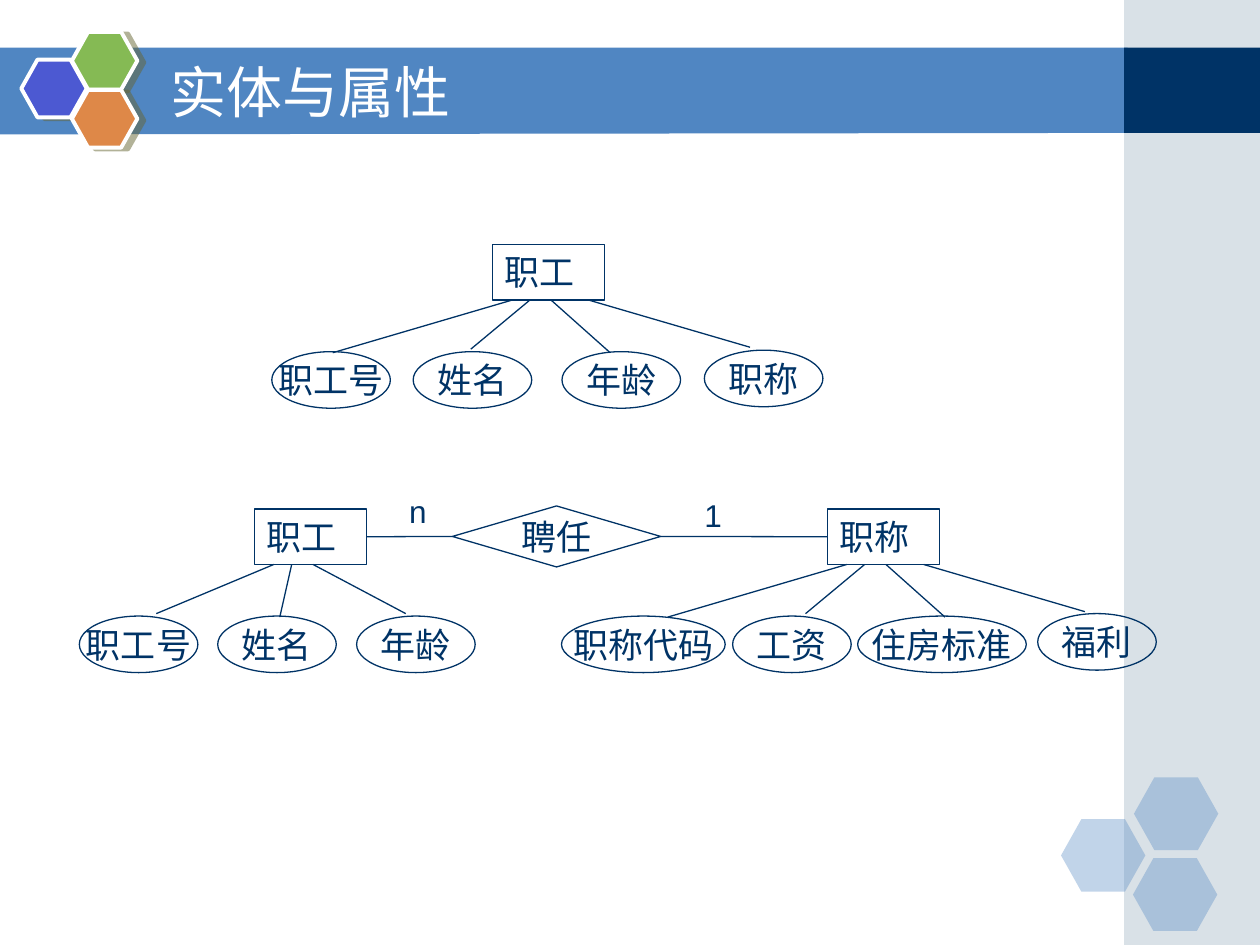
import pptx
import pptx.dml.color
import pptx.enum.shapes
import pptx.enum.text
import pptx.oxml
import pptx.oxml.ns
import pptx.util
from lxml import etree

Cm, Pt = pptx.util.Cm, pptx.util.Pt
SHAPE = pptx.enum.shapes.MSO_SHAPE
ALIGN = pptx.enum.text.PP_ALIGN
ANCHOR = pptx.enum.text.MSO_ANCHOR
qn = pptx.oxml.ns.qn

NAVY, BLUE, WHITE = "003366", "5086C2", "FFFFFF"
ENTITY_W, ENTITY_H = 2.26, 1.12
ATTR_W, ATTR_H = 2.39, 1.14

# Spokes relative to the entity: start x, end x, end y
FOUR_SPOKES = [(0.39, -3.22, 2.18), (0.75, -0.44, 2.11),
               (1.18, 2.37, 2.18), (1.94, 5.19, 2.07)]
THREE_SPOKES = [(0.39, -1.98, 2.11), (0.75, 0.51, 2.18), (1.18, 3.05, 2.11)]


def rgb(value):
    return pptx.dml.color.RGBColor.from_string(value)


def paint(sp, fill=None, alpha=None, line=None, width=0.75):
    sp.shadow.inherit = False
    if fill:
        sp.fill.solid()
        sp.fill.fore_color.rgb = rgb(fill)
    else:
        sp.fill.background()
    if alpha:
        clr = sp._element.spPr.find(qn("a:solidFill"))[0]
        etree.SubElement(clr, qn("a:alpha")).set("val", str(alpha * 1000))
    if line:
        sp.line.color.rgb = rgb(line)
        sp.line.width = Pt(width)
    else:
        sp.line.fill.background()


def add_shape(s, kind, x, y, w, h, **style):
    sp = s.shapes.add_shape(kind, Cm(x), Cm(y), Cm(w), Cm(h))
    paint(sp, **style)
    return sp


def add_hexagon(s, x, y, w, h, **style):
    sp = add_shape(s, SHAPE.HEXAGON, x, y, w, h, **style)
    sp.adjustments[0] = 0.28
    sp.adjustments[1] = 1.15
    return sp


def write(sp, text, size=20, font="Arial", color=NAVY, align=ALIGN.LEFT,
          anchor=ANCHOR.TOP, wrap=True):
    tf = sp.text_frame
    tf.word_wrap = wrap
    tf.vertical_anchor = anchor
    p = tf.paragraphs[0]
    p.alignment = align
    r = p.add_run()
    r.text = text
    r.font.size = Pt(size)
    r.font.name = font
    r.font.color.rgb = rgb(color)


def add_text(s, x, y, w, h, text, **style):
    write(s.shapes.add_textbox(Cm(x), Cm(y), Cm(w), Cm(h)), text, **style)


def add_line(s, x1, y1, x2, y2):
    line = s.shapes.add_connector(pptx.enum.shapes.MSO_CONNECTOR.STRAIGHT,
                                  Cm(x1), Cm(y1), Cm(x2), Cm(y2))
    line.line.color.rgb = rgb(NAVY)
    line.line.width = Pt(0.75)
    etree.SubElement(line._element.spPr, qn("a:effectLst"))
    return line


def add_centred(s, kind, x, y, w, h, text):
    sp = add_shape(s, kind, x, y, w, h, line=NAVY)
    write(sp, text, align=ALIGN.CENTER, anchor=ANCHOR.MIDDLE, wrap=False)
    return sp


def header(s, x, y, w, h, title):
    # Title band, side column and its dark crossing
    band = s.shapes.build_freeform(Cm(x), Cm(y), scale=1.0)
    band.add_line_segments([(Cm(x + w), Cm(y)), (Cm(x + w), Cm(y + h - 0.03)),
                            (Cm(x), Cm(y + h))])
    paint(band.convert_to_shape(), fill=BLUE)
    side, side_w = 22.66, 2.74
    add_shape(s, SHAPE.RECTANGLE, side, 0, side_w, 19.05, fill="A0B5C4", alpha=40)
    add_shape(s, SHAPE.RECTANGLE, side, y, side_w, h - 0.03, fill=NAVY)
    add_text(s, x + 3.2, y + 0.1, 18.62, 1.57, title, size=32,
             font="DejaVu Sans", color=WHITE, anchor=ANCHOR.MIDDLE)


def emblem(s, x, y):
    # Three outlined hexagons with a shadow to the right
    for dx, dy, color in [(0, 0.56, "4C59D2"), (1.02, 0, "85BA54"),
                          (1.02, 1.17, "DE8848")]:
        sp = add_hexagon(s, x + dx, y + dy, 1.32, 1.17, fill=color,
                         line=WHITE, width=2.25)
        effects = sp._element.spPr.find(qn("a:effectLst"))
        shadow = etree.SubElement(effects, qn("a:outerShdw"), dist="52070",
                                  dir="840000", algn="ctr", rotWithShape="0")
        clr = etree.SubElement(shadow, qn("a:srgbClr"), val="666633")
        etree.SubElement(clr, qn("a:alpha"), val="50000")


def corner_hexagons(s, x, y):
    for dx, dy in [(0, 0.84), (1.47, 0), (1.45, 1.63)]:
        add_hexagon(s, x + dx, y + dy, 1.7, 1.47, fill=BLUE, alpha=35)


def entity(s, x, y, name, attributes, spokes):
    # Entity box, then attributes as (name, dx, dy, width)
    box = add_shape(s, SHAPE.RECTANGLE, x, y, ENTITY_W, ENTITY_H, line=NAVY)
    write(box, name)
    for text, dx, dy, w in attributes:
        add_centred(s, SHAPE.OVAL, x + dx, y + dy, w, ATTR_H, text)
    for start, end, drop in spokes:
        add_line(s, x + start, y + ENTITY_H, x + end, y + drop)
    return box


def relationship(s, x, y, w, h, name, left, right):
    diamond = add_centred(s, SHAPE.FLOWCHART_DECISION, x, y, w, h, name)
    for start, end in [(left, diamond), (diamond, right)]:
        line = add_line(s, x, y, x + w, y)
        line.begin_connect(start, 3)
        line.end_connect(end, 1)
    # Cardinalities
    for dx, dy, text in [(-1.12, -0.41, "n"), (4.83, -0.33, "1")]:
        add_text(s, x + dx, y + dy, 1.04, 1.02, text, size=18)


def main():
    prs = pptx.Presentation()
    prs.slide_width, prs.slide_height = Cm(25.4), Cm(19.05)
    s = prs.slides.add_slide(prs.slide_layouts[6])

    header(s, -0.02, 0.96, 22.75, 1.75, "实体与属性")
    corner_hexagons(s, 21.39, 15.67)
    emblem(s, 0.43, 0.64)

    # Single entity
    entity(s, 9.93, 4.93, "职工",
           [("职工号", -4.45, 2.16, ATTR_W), ("姓名", -1.6, 2.16, ATTR_W),
            ("年龄", 1.4, 2.16, ATTR_W), ("职称", 4.27, 2.13, ATTR_W)],
           FOUR_SPOKES)

    # Two related entities
    staff = entity(s, 5.13, 10.26, "职工",
                   [("职工号", -3.53, 2.16, ATTR_W), ("姓名", -0.74, 2.16, ATTR_W),
                    ("年龄", 2.06, 2.16, ATTR_W)],
                   THREE_SPOKES)
    post = entity(s, 16.68, 10.26, "职称",
                  [("职称代码", -5.36, 2.16, 3.3), ("工资", -1.91, 2.16, ATTR_W),
                   ("住房标准", 0.61, 2.16, 3.4), ("福利", 4.24, 2.11, ATTR_W)],
                  FOUR_SPOKES)
    relationship(s, 9.12, 10.2, 4.2, 1.23, "聘任", staff, post)

    prs.save("out.pptx")


if __name__ == "__main__":
    main()
